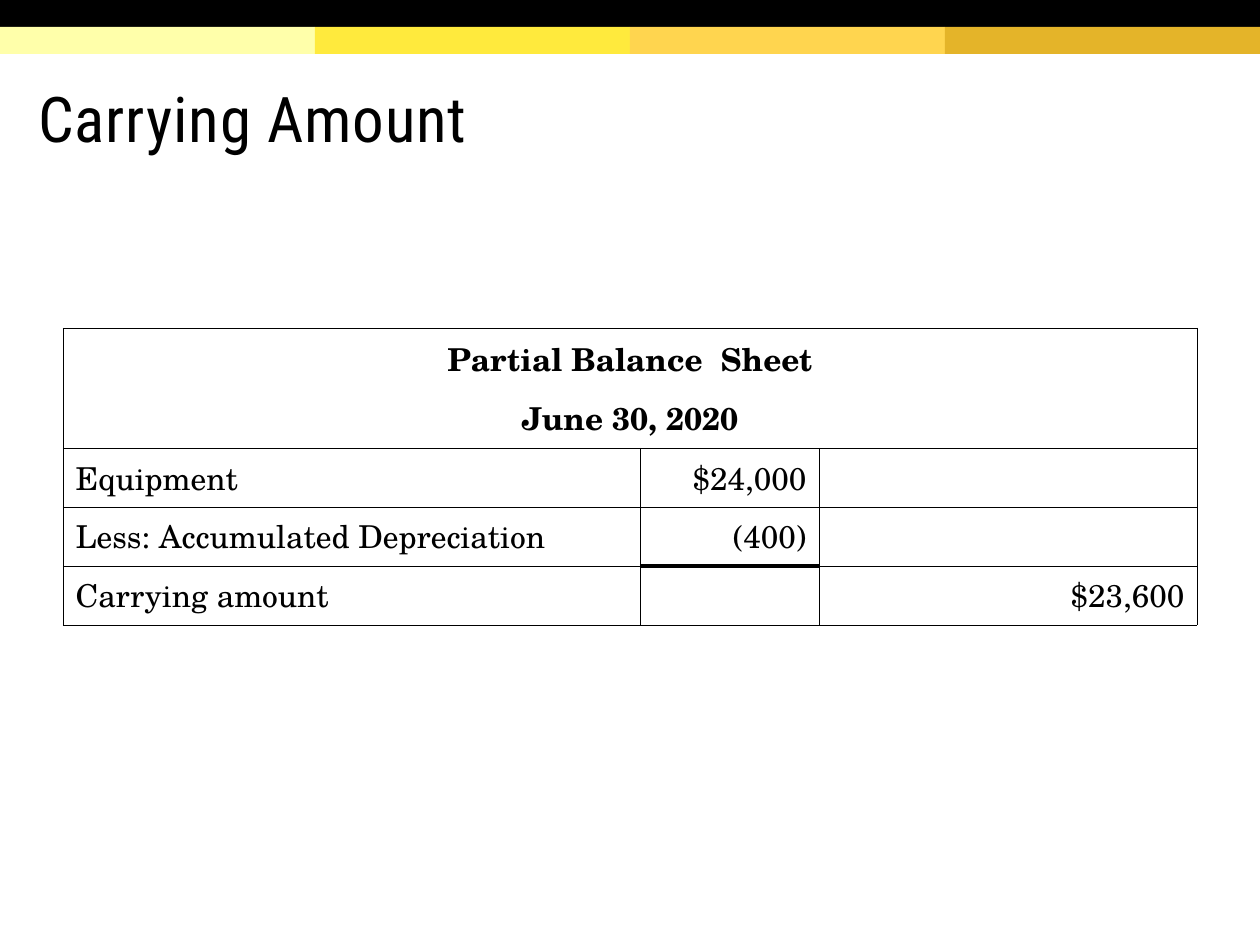
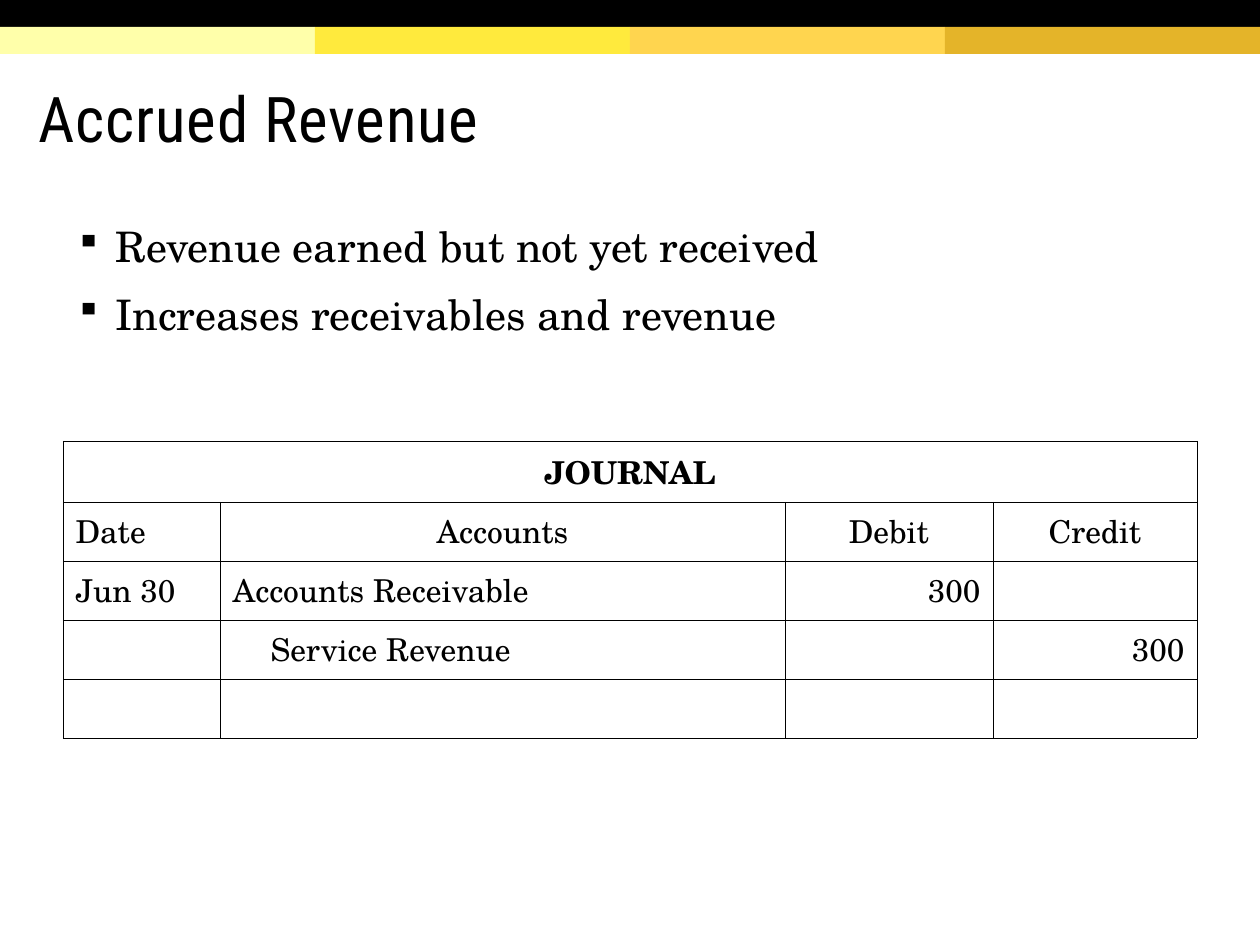
from dataclasses import dataclass

import pptx
import pptx.dml.color
import pptx.enum.shapes
import pptx.enum.text
import pptx.oxml
import pptx.oxml.ns
import pptx.util
from lxml import etree

EMU_PER_PX = 914400 / 126
SLIDE_W, SLIDE_H = 1260, 945
BAND_H = 27
TABLE_X = 63
HAIRLINE, TOTAL_RULE = 0.25, 2.25
ALIGN = pptx.enum.text.PP_ALIGN
LEFT, CENTER, RIGHT = ALIGN.LEFT, ALIGN.CENTER, ALIGN.RIGHT


@dataclass(frozen=True)
class Theme:
    ink: str = "000000"
    paper: str = "FFFFFF"
    yellows: tuple = ("FFFFAA", "FFEA3D", "FFD54F", "E4B429")
    title_font: str = "Roboto Condensed"
    body_font: str = "TeX Gyre Schola"
    title_size: int = 36
    bullet_size: int = 24
    table_size: int = 18


THEME = Theme()


@dataclass(frozen=True)
class Entry:
    """Lines of text in one table cell."""
    lines: tuple
    align: int = LEFT
    bold: bool = False
    indent: int = 0


def px(length):
    return pptx.util.Emu(round(length * EMU_PER_PX))


def rgb(colour):
    return pptx.dml.color.RGBColor.from_string(colour)


def add_child(parent, tag, **attributes):
    return etree.SubElement(parent, pptx.oxml.ns.qn(tag), **attributes)


def add_run(paragraph, text, font_name, size, bold=False):
    run = paragraph.add_run()
    run.text = text
    run.font.name = font_name
    run.font.size = pptx.util.Pt(size)
    run.font.bold = bold
    run.font.color.rgb = rgb(THEME.ink)
    return run


def next_paragraph(frame, index):
    return frame.add_paragraph() if index else frame.paragraphs[0]


def add_band(slide, x, y, width, colour):
    band = slide.shapes.add_shape(
        pptx.enum.shapes.MSO_SHAPE.RECTANGLE, px(x), px(y), px(width), px(BAND_H))
    band.shadow.inherit = False
    band.fill.solid()
    band.fill.fore_color.rgb = rgb(colour)
    band.line.fill.background()


def add_text_frame(slide, x, y, width, height):
    frame = slide.shapes.add_textbox(px(x), px(y), px(width), px(height)).text_frame
    frame.word_wrap = True
    return frame


def add_title(slide, title):
    frame = add_text_frame(slide, 26, 59, 1196, 123)
    frame.margin_top = pptx.util.Inches(0.1)
    frame.vertical_anchor = pptx.enum.text.MSO_ANCHOR.MIDDLE
    heading = frame.paragraphs[0]
    heading.line_spacing = 0.85
    run = add_run(heading, title, THEME.title_font, THEME.title_size)
    run.font._element.set("spc", "50")


def add_titled_slide(deck, title):
    slide = deck.slides.add_slide(deck.slide_layouts[6])
    add_band(slide, 0, 0, SLIDE_W, THEME.ink)
    step = SLIDE_W // len(THEME.yellows)
    for i, colour in enumerate(THEME.yellows):
        add_band(slide, i * step, BAND_H, step, colour)
    add_title(slide, title)
    return slide


def add_bullets(slide, y, points):
    frame = add_text_frame(slide, TABLE_X, y, 1134, 154)
    for i, point in enumerate(points):
        paragraph = next_paragraph(frame, i)
        properties = paragraph._p.get_or_add_pPr()
        properties.set("marL", str(px(40)))
        properties.set("indent", str(-px(40)))
        bullet_colour = add_child(properties, "a:buClr")
        add_child(bullet_colour, "a:srgbClr", val=THEME.ink)
        add_child(properties, "a:buSzPct", val="85000")
        add_child(properties, "a:buChar", char="▪")
        if i:
            paragraph.space_before = pptx.util.Pt(10)
        add_run(paragraph, point, THEME.body_font, THEME.bullet_size)


def set_borders(cell, **widths):
    """Draw all four sides; widths in points replace the hairline by side."""
    properties = cell._tc.get_or_add_tcPr()
    sides = ("lnL", "lnR", "lnT", "lnB")
    for position, side in enumerate(sides):
        width = pptx.util.Pt(widths.get(side, HAIRLINE))
        line = pptx.oxml.parse_xml(
            f'<a:{side} {pptx.oxml.ns.nsdecls("a")} w="{width}"><a:solidFill>'
            f'<a:srgbClr val="{THEME.ink}"/></a:solidFill></a:{side}>')
        old = properties.find(pptx.oxml.ns.qn(f"a:{side}"))
        if old is not None:
            properties.remove(old)
        properties.insert(position, line)


def write_entry(cell, entry):
    for i, line in enumerate(entry.lines):
        paragraph = next_paragraph(cell.text_frame, i)
        paragraph.alignment = entry.align
        if entry.indent:
            paragraph._p.get_or_add_pPr().set("marL", str(px(entry.indent)))
        if i:
            paragraph.space_before = pptx.util.Pt(6)
        add_run(paragraph, line, THEME.body_font, THEME.table_size, entry.bold)


def add_ledger(slide, y, column_widths, row_heights, heading, rows):
    """Ruled table with one heading across all columns."""
    table = slide.shapes.add_table(
        len(row_heights), len(column_widths), px(TABLE_X), px(y),
        px(sum(column_widths)), px(sum(row_heights))).table
    table.first_row = table.horz_banding = False
    for column, width in zip(table.columns, column_widths):
        column.width = px(width)
    for row, height in zip(table.rows, row_heights):
        row.height = px(height)
    for cell in table.iter_cells():
        cell.fill.solid()
        cell.fill.fore_color.rgb = rgb(THEME.paper)
        set_borders(cell)
    table.cell(0, 0).merge(table.cell(0, len(column_widths) - 1))
    write_entry(table.cell(0, 0), Entry(heading, CENTER, bold=True))
    for r, row in enumerate(rows, start=1):
        for c, entry in enumerate(row):
            if entry:
                write_entry(table.cell(r, c), entry)
    return table


def label(text, indent=0):
    return Entry((text,), indent=indent)


def column_head(text):
    return Entry((text,), CENTER)


def amount(text):
    return Entry((text,), RIGHT)


def add_carrying_amount(deck):
    slide = add_titled_slide(deck, "Carrying Amount")
    balance_sheet = add_ledger(
        slide, 328, (577, 179, 378), (120, 59, 59, 59),
        ("Partial Balance  Sheet", "June 30, 2020"),
        [(label("Equipment"), amount("$24,000"), None),
         (label("Less: Accumulated Depreciation"), amount("(400)"), None),
         (label("Carrying amount"), None, amount("$23,600"))])
    set_borders(balance_sheet.cell(2, 1), lnB=TOTAL_RULE)
    set_borders(balance_sheet.cell(3, 1), lnT=TOTAL_RULE)


def add_accrued_revenue(deck):
    slide = add_titled_slide(deck, "Accrued Revenue")
    add_bullets(slide, 214, ("Revenue earned but not yet received",
                             "Increases receivables and revenue"))
    add_ledger(
        slide, 441, (157, 565, 208, 204), (61, 59, 59, 59, 59), ("JOURNAL",),
        [(label("Date"), column_head("Accounts"),
          column_head("Debit"), column_head("Credit")),
         (label("Jun 30"), label("Accounts Receivable"), amount("300"), None),
         (None, label("Service Revenue", indent=38), None, amount("300"))])


def main():
    deck = pptx.Presentation()
    deck.slide_width, deck.slide_height = px(SLIDE_W), px(SLIDE_H)
    add_carrying_amount(deck)
    add_accrued_revenue(deck)
    deck.save("out.pptx")


if __name__ == "__main__":
    main()
